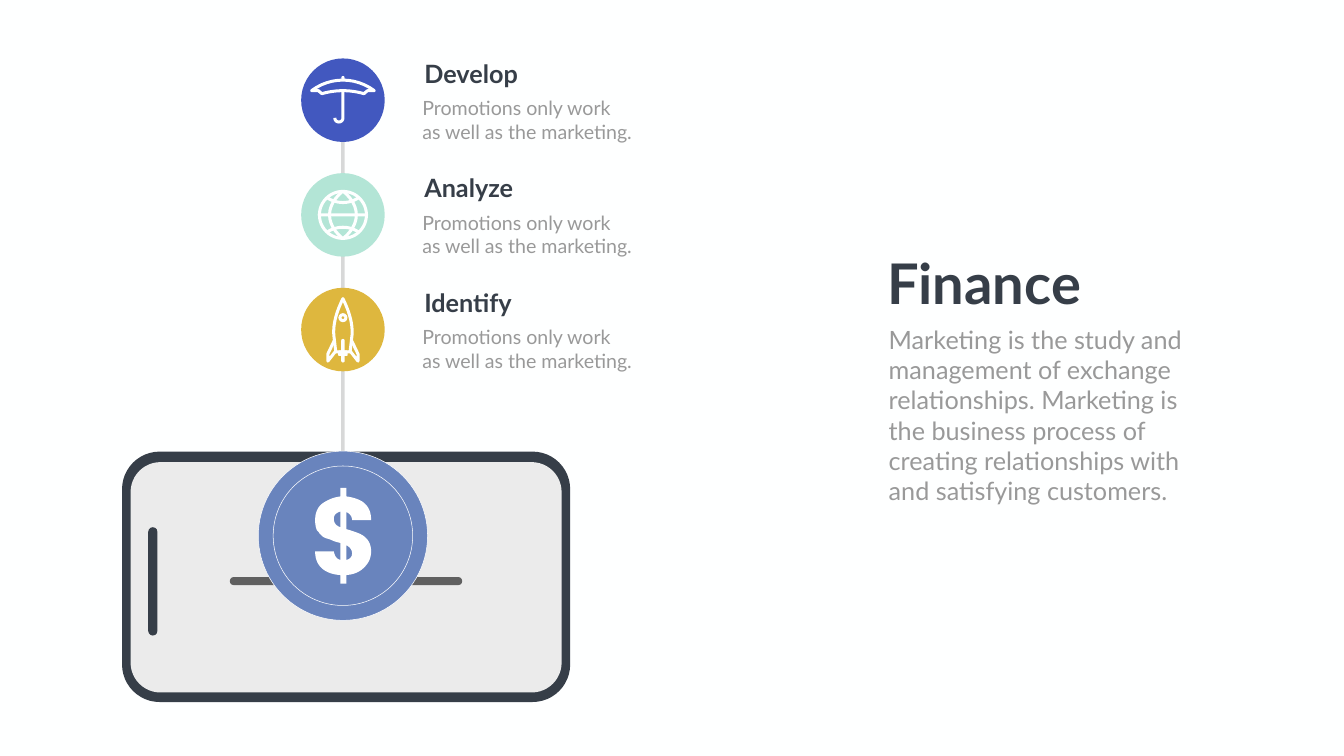
"""Build the Finance slide with a phone, a coin and three linked steps."""
import pptx
import pptx.dml.color
import pptx.enum.shapes
import pptx.oxml
import pptx.oxml.ns
import pptx.util
from pptx.util import Cm

SHAPES = pptx.enum.shapes.MSO_SHAPE
WHITE, DARK, GREY, COIN = "FEFFFF", "363E48", "999999", "6984BD"
STROKE = 4.3

deck = pptx.Presentation()
deck.slide_width, deck.slide_height = Cm(67.72), Cm(38.1)
slide = deck.slides.add_slide(deck.slide_layouts[6])
color = pptx.dml.color.RGBColor.from_string
slide.background.fill.solid()
slide.background.fill.fore_color.rgb = color(WHITE)


def paint(shape, fill=None, line=None, width=STROKE):
    shape.shadow.inherit = False
    for part, tint in ((shape.fill, fill), (shape.line.fill, line)):
        if tint:
            part.solid()
            part.fore_color.rgb = color(tint)
        else:
            part.background()
    if line:
        shape.line.width = pptx.util.Pt(width)


def add_text(text, left, top, width, height, size, tint, bold=False, wrap=True):
    box = slide.shapes.add_textbox(Cm(left), Cm(top), Cm(width), Cm(height))
    box.text_frame.word_wrap = wrap
    box.text_frame.text = text
    for paragraph in box.text_frame.paragraphs:
        paragraph.font.name = "Lato"
        paragraph.font.size = pptx.util.Pt(size)
        paragraph.font.bold = bold
        paragraph.font.color.rgb = color(tint)


axis_x = 17.28
step_ys = [5.05 + 5.78 * row for row in range(3)]
umbrella_y, globe_y, rocket_y = step_ys
coin_y = 27

stem = slide.shapes.add_connector(
    pptx.enum.shapes.MSO_CONNECTOR.STRAIGHT, Cm(axis_x), Cm(23.5), Cm(axis_x), Cm(3.94))
stem.line.width = pptx.util.Pt(5)
stem.line.color.rgb = color("808080")
stem_properties = stem._element.spPr
stem_tint = stem_properties.find(".//" + pptx.oxml.ns.qn("a:srgbClr"))
namespace = pptx.oxml.ns.nsdecls("a")
stem_tint.append(pptx.oxml.parse_xml(f'<a:alpha {namespace} val="30000"/>'))
stem_properties.append(pptx.oxml.parse_xml(f"<a:effectLst {namespace}/>"))

# left, top, width, height, corner, fill
bars = [
    (6.15, 22.76, 22.58, 12.62, 0.15, DARK),
    (6.58, 23.29, 21.72, 11.61, 0.13, "EBEBEB"),
    (7.47, 26.57, 0.46, 5.46, 0.5, DARK),
    (11.58, 29.08, 11.71, 0.41, 0.5, "606060"),
]
discs = [
    (umbrella_y, 4.21, "4258BF", None, 0),
    (globe_y, 4.21, "B3E5D6", None, 0),
    (rocket_y, 4.21, "DEB73E", None, 0),
    (coin_y, 8.53, COIN, "FFFFFF", 0.75),
    (coin_y, 7.03, COIN, "FFFFFF", 0.75),
    (globe_y, 2.37, None, WHITE, STROKE),
    (rocket_y - 0.6, 0.3, None, WHITE, STROKE),
]
icon_bars = [
    (axis_x - 0.08, umbrella_y - 1.22, 0.16, 0.25, 0.5, WHITE),
    (axis_x - 1.27, globe_y - 0.08, 2.54, 0.16, 0.5, WHITE),
    (axis_x - 0.09, rocket_y + 0.47, 0.18, 1.19, 0.5, WHITE),
    (axis_x - 0.24, rocket_y + 1.05, 0.48, 0.28, 0.2, WHITE),
]

for layer in (bars, discs, icon_bars):
    for item in layer:
        if layer is discs:
            middle, size, fill, line, width = item
            disc = slide.shapes.add_shape(
                SHAPES.OVAL, Cm(axis_x - size / 2), Cm(middle - size / 2), Cm(size), Cm(size))
            paint(disc, fill, line, width)
        else:
            *frame, corner, fill = item
            bar = slide.shapes.add_shape(SHAPES.ROUNDED_RECTANGLE, *map(Cm, frame))
            bar.adjustments[0] = corner
            paint(bar, fill)

handle = [(0, -0.43), (0, 0.89), (0, 1.17, -0.41, 1.17, -0.41, 0.89)]
canopy = [(-1.58, -0.48), (-0.64, -1.19, 0.64, -1.19, 1.58, -0.48), (1.24, -0.48),
          (1.06, -0.33), (0.36, -0.53, -0.36, -0.53, -1.06, -0.33), (-1.24, -0.48)]
rocket_body = [(-0.36, 1.13), (-0.46, 0.27), (-0.5, -0.32, -0.3, -0.95, 0, -1.56),
               (0.3, -0.95, 0.5, -0.32, 0.46, 0.27), (0.36, 1.13)]
dollar = [
    (1.42, 0.79), (1.42, 1.12, 1.3, 1.37, 1.07, 1.6), (0.84, 1.83, 0.53, 1.96, 0.18, 1.98),
    (0.18, 2.41), (-0.13, 2.41), (-0.13, 1.98), (-0.53, 1.96, -0.86, 1.83, -1.07, 1.63),
    (-1.3, 1.42, -1.4, 1.14, -1.4, 0.79), (-0.46, 0.79),
    (-0.41, 1.02, -0.33, 1.17, -0.13, 1.22), (-0.13, 0.36),
    (-0.3, 0.33, -0.46, 0.28, -0.61, 0.2), (-0.76, 0.15, -0.86, 0.13, -0.91, 0.1),
    (-1.07, 0.03, -1.1, -0.05, -1.19, -0.13), (-1.22, -0.2, -1.3, -0.25, -1.32, -0.3),
    (-1.37, -0.43, -1.4, -0.58, -1.4, -0.79), (-1.4, -1.12, -1.3, -1.4, -1.07, -1.6),
    (-0.79, -1.8, -0.51, -1.93, -0.13, -1.98), (-0.13, -2.41), (0.18, -2.41), (0.18, -1.98),
    (0.53, -1.93, 0.86, -1.83, 1.07, -1.65), (1.3, -1.45, 1.42, -1.19, 1.42, -0.79),
    (0.46, -0.79), (0.46, -0.99, 0.33, -1.12, 0.18, -1.19), (0.18, -0.33),
    (0.53, -0.23, 0.79, -0.13, 0.89, -0.08), (1.24, 0.1, 1.42, 0.38, 1.42, 0.79)]
upper_hole = [(-0.13, -1.22), (-0.36, -1.14, -0.46, -1.04, -0.46, -0.86),
              (-0.46, -0.66, -0.36, -0.51, -0.13, -0.43)]
lower_hole = [(0.18, 1.22), (0.36, 1.17, 0.46, 1.07, 0.46, 0.89),
              (0.46, 0.71, 0.36, 0.58, 0.18, 0.48)]

outlines = [
    (umbrella_y, [handle], False, None),
    (umbrella_y, [canopy], True, None),
    (rocket_y, [rocket_body], True, None),
    (coin_y, [dollar, upper_hole, lower_hole], True, "FFFFFF"),
]
for side in (-1, 1):
    meridian = [(0, -1.2), (side * 0.9, -0.47, side * 0.9, 0.47, 0, 1.2)]
    parallel = [(-0.8, side * 0.87), (-0.32, side * 0.54, 0.32, side * 0.54, 0.8, side * 0.87)]
    fin = [(side * 0.36, 1.08), (side * 0.76, 1.59), (side * 0.76, 1.23), (side * 0.42, 0.52)]
    outlines += [(globe_y, [meridian], False, None), (globe_y, [parallel], False, None),
                 (rocket_y, [fin], False, None)]

for middle, contours, closed, fill in outlines:
    builder = None
    for start, *segments in contours:
        points = [start]
        for segment in segments:
            if len(segment) == 2:
                points.append(segment)
                continue
            controls = [points[-1], segment[:2], segment[2:4], segment[4:]]
            for step in range(1, 13):
                t = step / 12
                weights = ((1 - t) ** 3, 3 * t * (1 - t) ** 2, 3 * t * t * (1 - t), t ** 3)
                points.append(tuple(
                    sum(weight * control[axis] for weight, control in zip(weights, controls))
                    for axis in (0, 1)))
        places = [(Cm(axis_x + x), Cm(middle + y)) for x, y in points]
        if builder:
            builder.move_to(*places[0])
        else:
            builder = slide.shapes.build_freeform(*places[0])
        builder.add_line_segments(places[1:], close=closed)
    paint(builder.convert_to_shape(), fill, None if fill else WHITE)

add_text("Finance", 44.45, 12.42, 10.46, 3.68, 80, DARK, bold=True, wrap=False)
add_text("Marketing is the study and management of exchange relationships. Marketing is "
         "the business process of creating relationships with and satisfying customers.",
         44.53, 16.21, 16.61, 9.5, 36, GREY)
for heading, step_y in zip(("Develop", "Analyze", "Identify"), step_ys):
    add_text(heading, 21.13, step_y - 2.26, 6.63, 1.8, 36, DARK, bold=True)
    add_text("Promotions only work\nas well as the marketing.",
             21.03, step_y - 0.34, 12.65, 2.64, 28, GREY)

deck.save("out.pptx")
